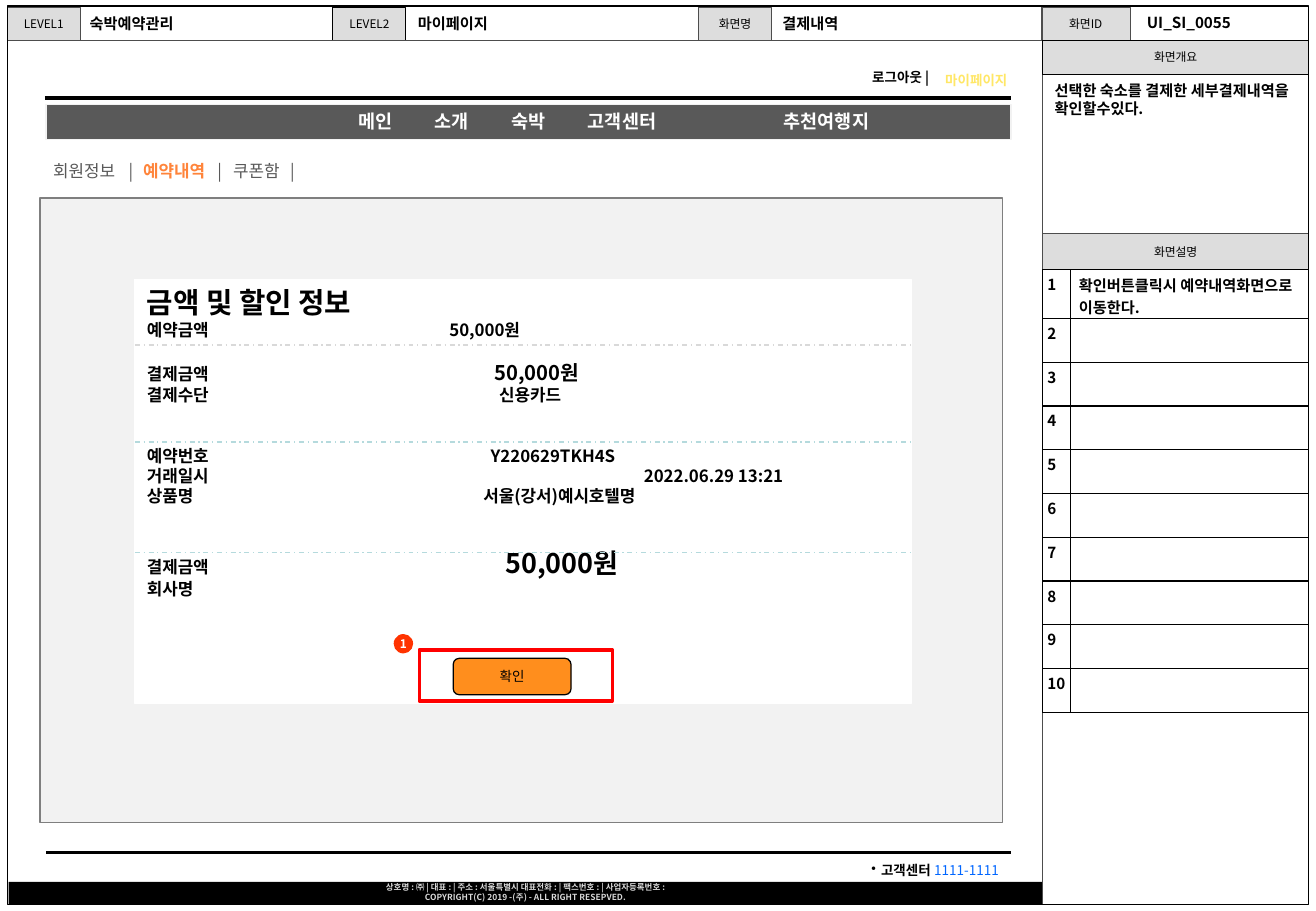
from lxml.etree import SubElement
from pptx import Presentation
from pptx.dml.color import RGBColor
from pptx.enum.dml import MSO_LINE
from pptx.enum.shapes import MSO_CONNECTOR, MSO_SHAPE
from pptx.enum.text import MSO_ANCHOR, PP_ALIGN
from pptx.oxml.ns import qn
from pptx.util import Inches, Pt

FONT = "Noto Sans CJK KR"
BLACK, WHITE, GRAY, LABEL = "000000", "FFFFFF", "4D4D4D", "DDDDDD"


def color(value):
    """Turn a hex string into a colour."""
    return RGBColor.from_string(value)


def write(para, spans, size, ink=BLACK, bold=True, align=PP_ALIGN.LEFT, tabs=(), before=0, leading=None, bullet=None):
    """Fill a paragraph with spans given as text or (text, ink, bold)."""
    para.alignment = align
    para.line_spacing = Pt(leading or size * 1.2)
    para.space_before = Pt(before)
    properties = para._p.get_or_add_pPr()
    if bullet:
        properties.set("marL", str(Inches(0.08)))
        properties.set("indent", str(-Inches(0.08)))
        SubElement(properties, qn("a:buChar"), char=bullet)
    if tabs:
        stops = SubElement(properties, qn("a:tabLst"))
        for stop in tabs:
            SubElement(stops, qn("a:tab"), pos=str(Inches(stop)), algn="l")
    font = para.font
    font.name, font.size, font.bold = FONT, Pt(size), bold
    font.color.rgb = color(ink)
    SubElement(properties.find(qn("a:defRPr")), qn("a:ea"), typeface=FONT)
    for item in [spans] if isinstance(spans, str) else spans:
        text, *style = (item,) if isinstance(item, str) else item
        span = para.add_run()
        span.text = text
        if style:
            span.font.color.rgb, span.font.bold = color(style[0]), style[1]


def set_frame(frame, anchor=MSO_ANCHOR.TOP, margins=(0.1, 0.05)):
    """Set wrapping, anchor and margins of a text frame."""
    frame.word_wrap = True
    frame.vertical_anchor = anchor
    frame.margin_left = frame.margin_right = Inches(margins[0])
    frame.margin_top = frame.margin_bottom = Inches(margins[1])


def add_text(page, box, spans, size, **style):
    """Add a text box with one paragraph."""
    frame = page.shapes.add_textbox(*map(Inches, box)).text_frame
    set_frame(frame)
    write(frame.paragraphs[0], spans, size, **style)


def add_box(page, box, fill=None, line=None, width=0.75, kind=MSO_SHAPE.RECTANGLE):
    """Add a flat shape."""
    shape = page.shapes.add_shape(kind, *map(Inches, box))
    shape.shadow.inherit = False
    if fill:
        shape.fill.solid()
        shape.fill.fore_color.rgb = color(fill)
    else:
        shape.fill.background()
    if line:
        shape.line.color.rgb = color(line)
        shape.line.width = Pt(width)
    else:
        shape.line.fill.background()
    return shape


def add_label(page, box, text, fill=LABEL, line=GRAY, width=0.5, size=7, ink=BLACK, bold=False, kind=MSO_SHAPE.RECTANGLE, margins=(0.1, 0.05)):
    """Add a shape with a centred caption."""
    shape = add_box(page, box, fill, line, width, kind)
    set_frame(shape.text_frame, MSO_ANCHOR.MIDDLE, margins)
    write(shape.text_frame.paragraphs[0], text, size, ink, bold, PP_ALIGN.CENTER)
    return shape


def add_line(page, start, end, ink=BLACK, width=0.75, dash=None):
    """Add a straight line without a shadow."""
    line = page.shapes.add_connector(MSO_CONNECTOR.STRAIGHT, *map(Inches, start + end))
    line.line.color.rgb = color(ink)
    line.line.width = Pt(width)
    if dash:
        line.line.dash_style = dash
    SubElement(line._element.spPr, qn("a:effectLst"))


def draw_header(page, left, top, width, height):
    """Draw the strip with the screen levels and the screen ID."""
    fields = [
        (0, 0.6, "LEVEL1", GRAY, "숙박예약관리", 0.58, 0.01),
        (2.68, 0.6, "LEVEL2", BLACK, "마이페이지", 3.28, 0.01),
        (5.69, 0.6, "화면명", GRAY, "결제내역", 6.28, 0.01),
        (8.51, 0.73, "화면ID", GRAY, "UI_SI_0055", 9.28, 0),
    ]
    for label_left, label_width, label, line, value, value_left, drop in fields:
        add_label(page, (left + label_left, top, label_width, height), label, line=line)
        add_text(page, (left + value_left, top + drop, 1.6, 0.25), value, 9)
    add_line(page, (left, top + height), (left + width, top + height), GRAY, 0.5)


def draw_navigation(page, left, top, width, height):
    """Draw the account links, the menu bar and the sub-menu."""
    add_text(page, (left + 6.7, top - 0.34, 0.9, 0.24), "로그아웃 |", 8)
    add_text(page, (left + 7.3, top - 0.32, 0.81, 0.24), "마이페이지", 8, ink="FFE766")
    add_line(page, (left - 0.01, top - 0.05), (left + width, top - 0.05), width=2.25)
    menu = add_box(page, (left, top, width, height), "595959", "F2F2F2")
    set_frame(menu.text_frame)
    tabs = [2.47 + 0.63 * index for index in range(4)] + [5.97]
    write(menu.text_frame.paragraphs[0], "\t메인\t소개\t숙박\t고객센터\t추천여행지", 11, WHITE, tabs=tabs)
    spans = ["회원정보\t|\t", ("예약내역", "FF843A", True), "\t|\t쿠폰함\t|"]
    add_text(page, (left - 0.04, top + 0.41, 3.5, 0.43), spans, 10, ink="595959", bold=False, tabs=(0.62, 0.74, 1.35, 1.48, 1.95))


def draw_payment(page, left, top, width, height):
    """Draw the card with the payment details and its dividers."""
    rows = [
        ("예약금액", "50,000원", 10, 2.49, 0),
        ("결제금액", "50,000원", 12, 2.86, 12),
        ("결제수단", "신용카드", 10, 2.9, 0),
        ("예약번호", "Y220629TKH4S", 10, 2.83, 24),
        ("거래일시", "2022.06.29 13:21", 10, 4.09, 0),
        ("상품명", "서울(강서)예시호텔명", 10, 2.77, 0),
        ("결제금액", "50,000원", 16, 2.95, 24),
        ("회사명", "", 10, 2.77, 0),
    ]
    frame = add_box(page, (left, top, width, height), WHITE, WHITE).text_frame
    set_frame(frame)
    write(frame.paragraphs[0], "금액 및 할인 정보", 17)
    for name, value, size, stop, before in rows:
        para = frame.add_paragraph()
        write(para, [name + "\t", value] if value else name, 10, tabs=[stop], before=before, leading=size * 1.2)
        if size != 10:
            para.runs[1].font.size = Pt(size)
    for drop, ink in ((0.54, "D9D9D9"), (1.34, "B5DADD"), (2.25, "B5DADD")):
        add_line(page, (left, top + drop), (left + width, top + drop), ink, dash=MSO_LINE.DASH_DOT)


def draw_confirm(page, left, top, width, height):
    """Draw the confirm button with its numbered marker."""
    add_label(page, (left + 0.28, top + 0.07, 0.97, 0.3), "확인", "FF8E1D", BLACK, 0.75, 8, kind=MSO_SHAPE.ROUNDED_RECTANGLE)
    add_label(page, (left - 0.21, top - 0.13, 0.16, 0.16), "1", "FF3300", None, ink=WHITE, bold=True, kind=MSO_SHAPE.OVAL, margins=(0, 0))
    add_box(page, (left, top, width, height), line="FF0000", width=2)


def draw_footer(page, left, top, width, height):
    """Draw the contact line and the company strip."""
    add_line(page, (left + 0.31, top - 0.24), (left + 8.25, top - 0.24), width=2)
    add_text(page, (left + 6.38, top - 0.21, 1.87, 0.24), ["고객센터 ", ("1111-1111", "0066FF", False)], 8, align=PP_ALIGN.RIGHT, bullet="•")
    frame = add_box(page, (left, top, width, height), BLACK).text_frame
    set_frame(frame, margins=(0.1, 0))
    company = "상호명 : ㈜ | 대표 : | 주소 : 서울특별시 대표전화 : | 팩스번호 : | 사업자등록번호 :"
    write(frame.paragraphs[0], company, 5, "D8D8D8", align=PP_ALIGN.CENTER)
    write(frame.add_paragraph(), "COPYRIGHT(C) 2019 -(주) - ALL RIGHT RESEPVED.", 5, "D8D8D8", align=PP_ALIGN.CENTER)


def draw_notes_table(page, left, top, width, height):
    """Draw the numbered table of screen notes."""
    table = page.shapes.add_table(10, 2, *map(Inches, (left, top, width, height))).table
    table.first_row = table.horz_banding = False
    table.columns[0].width, table.columns[1].width = Inches(0.23), Inches(width - 0.23)
    for index, row in enumerate(table.rows):
        row.height = Inches(0.4 if index == 0 else (height - 0.4) / 9)
        note = "확인버튼클릭시 예약내역화면으로 이동한다." if index == 0 else ""
        for cell, text, side in zip(row.cells, (str(index + 1), note), (0.04, 0.07)):
            cell.margin_left = cell.margin_right = Inches(side)
            cell.margin_top, cell.margin_bottom = Inches(0.04 if note and text == note else 0.06), 0
            write(cell.text_frame.paragraphs[0], text, 9, leading=13 if note and text == note else None)
            properties = cell._tc.get_or_add_tcPr()
            for edge in ("a:lnL", "a:lnR", "a:lnT", "a:lnB"):
                border = SubElement(properties, qn(edge), w=str(Pt(0.75)))
                SubElement(SubElement(border, qn("a:solidFill")), qn("a:srgbClr"), val=BLACK)
            cell.fill.background()


def draw_sidebar(page, left, top, width, height):
    """Draw the column with the screen overview and notes."""
    add_line(page, (left, top - 0.28), (left, top + height), GRAY)
    add_label(page, (left, top, width, 0.28), "화면개요", line=BLACK)
    add_text(page, (left, top + 0.29, width, 0.39), "선택한 숙소를 결제한 세부결제내역을 확인할수있다.", 9)
    add_label(page, (left, top + 1.59, width, 0.3), "화면설명")
    draw_notes_table(page, left, top + 1.89, width, 2.6)


def main():
    """Build and save the deck."""
    deck = Presentation()
    deck.slide_width, deck.slide_height = Inches(10.83), Inches(7.5)
    page = deck.slides.add_slide(deck.slide_layouts[6])
    draw_header(page, 0.06, 0.06, 10.71, 0.27)
    draw_navigation(page, 0.38, 0.86, 7.94, 0.29)
    add_box(page, (0.33, 1.63, 7.92, 5.14), "F2F2F2", "7F7F7F")
    draw_payment(page, 1.11, 2.3, 6.39, 3.49)
    draw_confirm(page, 3.45, 5.35, 1.59, 0.42)
    draw_footer(page, 0.07, 7.26, 8.51, 0.19)
    draw_sidebar(page, 8.58, 0.33, 2.19, 7.12)
    add_box(page, (0.06, 0.05, 10.71, 7.4), line=BLACK)
    deck.save("out.pptx")


if __name__ == "__main__":
    main()
